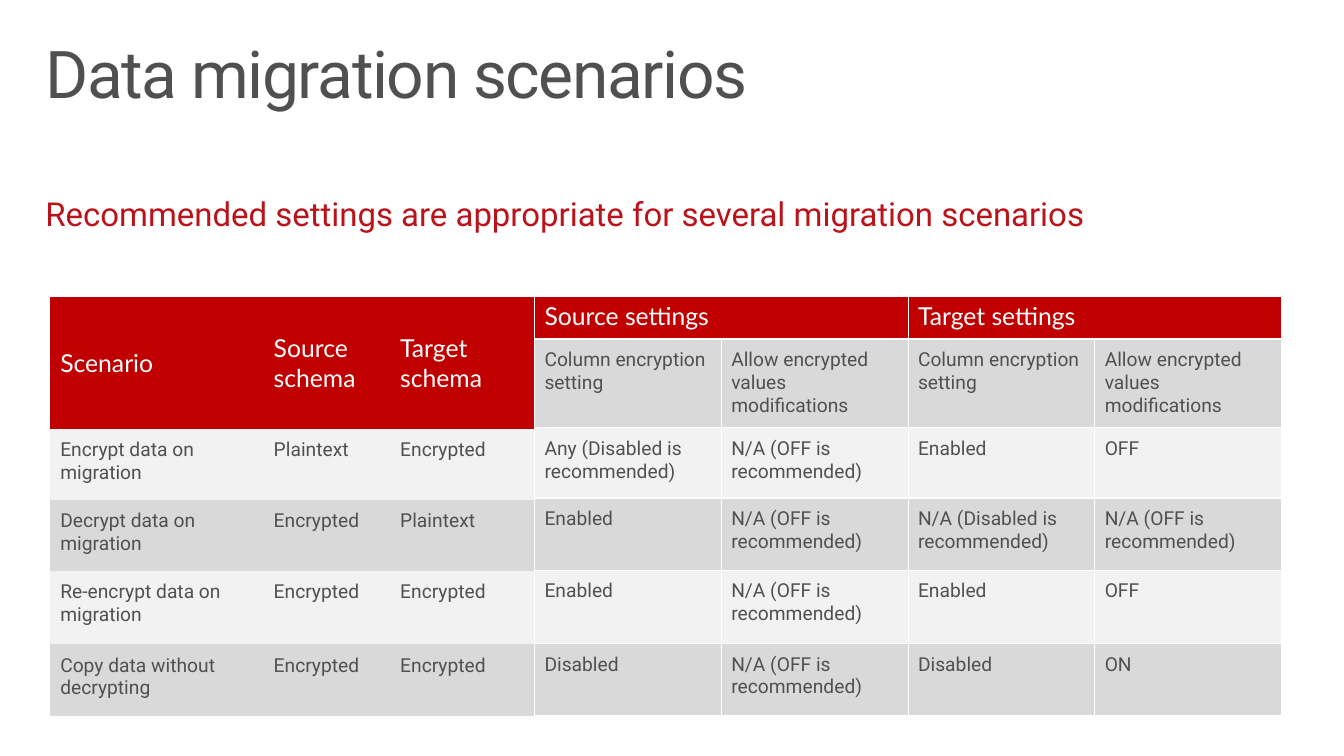
from lxml.etree import SubElement
from pptx import Presentation
from pptx.dml.color import RGBColor as RGB
from pptx.enum.text import MSO_ANCHOR as Anchor, MSO_AUTO_SIZE as AutoSize, PP_ALIGN as Align
from pptx.oxml import parse_xml
from pptx.oxml.ns import nsdecls, qn
from pptx.util import Inches, Pt

COLORS = {
    "white": "FFFFFF",
    "gray": "505050",
    "accent": "BA141A",
    "header": "C00000",
    "light": "F2F2F2",
    "dark": "D9D9D9",
}
BANDS = ["light", "dark", "light", "dark"]

deck = Presentation()
deck.slide_width, deck.slide_height = Inches(13.6), Inches(7.65)
page = deck.slides.add_slide(deck.slide_layouts[5])


def write(frame, text, font, size, color):
    for index, line in enumerate(text.split("\n")):
        para = frame.paragraphs[0] if index == 0 else frame.add_paragraph()
        para.alignment = Align.LEFT
        span = para.add_run()
        span.text = line
        span.font.name, span.font.size, span.font.bold = font, Pt(size), False
        span.font.color.rgb = RGB.from_string(COLORS[color])


def add_grid(left, top, columns, heights, rows, fills, border):
    frame = page.shapes.add_table(len(rows), len(columns), Inches(left), Inches(top),
                                  Inches(sum(columns)), Inches(sum(heights)))
    grid = frame.table
    grid.first_row = grid.horz_banding = False
    for column, width in zip(grid.columns, columns):
        column.width = Inches(width)
    for row, height, texts, fill in zip(grid.rows, heights, rows, fills):
        row.height = Inches(height)
        for cell, text in zip(row.cells, texts):
            is_header = fill == "header"
            cell.margin_left = cell.margin_right = Inches(0.1)
            cell.margin_top = cell.margin_bottom = Inches(0.05 if is_header else 0.1)
            if text and is_header:
                write(cell.text_frame, text, "Lato", 18, "white")
            elif text:
                write(cell.text_frame, text, "Roboto", 14, "gray")
            props = cell._tc.get_or_add_tcPr()
            for side in ("lnL", "lnR", "lnT", "lnB"):
                line = parse_xml(f'<a:{side} {nsdecls("a")} w="{Pt(1) if border else 0}"/>')
                if border:
                    paint = SubElement(line, qn("a:solidFill"))
                    SubElement(paint, qn("a:srgbClr"), val=COLORS[border])
                else:
                    SubElement(line, qn("a:noFill"))
                props.append(line)
            cell.fill.solid()
            cell.fill.fore_color.rgb = RGB.from_string(COLORS[fill])
    return grid


title = page.shapes.title
subtitle = page.shapes.add_textbox(0, 0, 0, 0)
headings = [
    (title, (0.3, 0.32, 13, 1), "Data migration scenarios", 48, "gray"),
    (subtitle, (0.3, 1.9, 11.23, 0.57),
     "Recommended settings are appropriate for several migration scenarios", 24, "accent"),
]
for box, place, text, size, color in headings:
    box.left, box.top, box.width, box.height = map(Inches, place)
    frame = box.text_frame
    frame.word_wrap = True
    frame.auto_size = AutoSize.NONE
    frame.vertical_anchor = Anchor.TOP
    frame.margin_left = frame.margin_right = Inches(0.16)
    frame.margin_top = frame.margin_bottom = Inches(0.1)
    write(frame, text, "Roboto", size, color)
    frame.paragraphs[0].line_spacing = 0.9
title.text_frame.paragraphs[0].runs[0].font._element.set("spc", "-100")

scenario_rows = [
    ["Scenario", "Source\nschema", "Target\nschema"],
    ["Encrypt data on migration", "Plaintext", "Encrypted"],
    ["Decrypt data on migration", "Encrypted", "Plaintext"],
    ["Re-encrypt data on migration", "Encrypted", "Encrypted"],
    ["Copy data without decrypting", "Encrypted", "Encrypted"],
]
scenarios = add_grid(0.51, 3.01, [2.16, 1.28, 1.47], [1.33, 0.72, 0.72, 0.74, 0.73],
                     scenario_rows, ["header"] + BANDS, None)
for cell in scenarios.rows[0].cells:
    cell.vertical_anchor = Anchor.MIDDLE

off_advised = "N/A (OFF is recommended)"
setting_names = ["Column encryption setting", "Allow encrypted values modifications"]
setting_rows = [
    ["Source settings", "", "Target settings", ""],
    setting_names * 2,
    ["Any (Disabled is recommended)", off_advised, "Enabled", "OFF"],
    ["Enabled", off_advised, "N/A (Disabled is recommended)", off_advised],
    ["Enabled", off_advised, "Enabled", "OFF"],
    ["Disabled", off_advised, "Disabled", "ON"],
]
settings = add_grid(5.41, 3, [1.89] * 4, [0.43, 0.9, 0.71, 0.73, 0.74, 0.73],
                    setting_rows, ["header", "dark"] + BANDS, "white")
for start in (0, 2):
    settings.cell(0, start).merge(settings.cell(0, start + 1))

deck.save("out.pptx")
